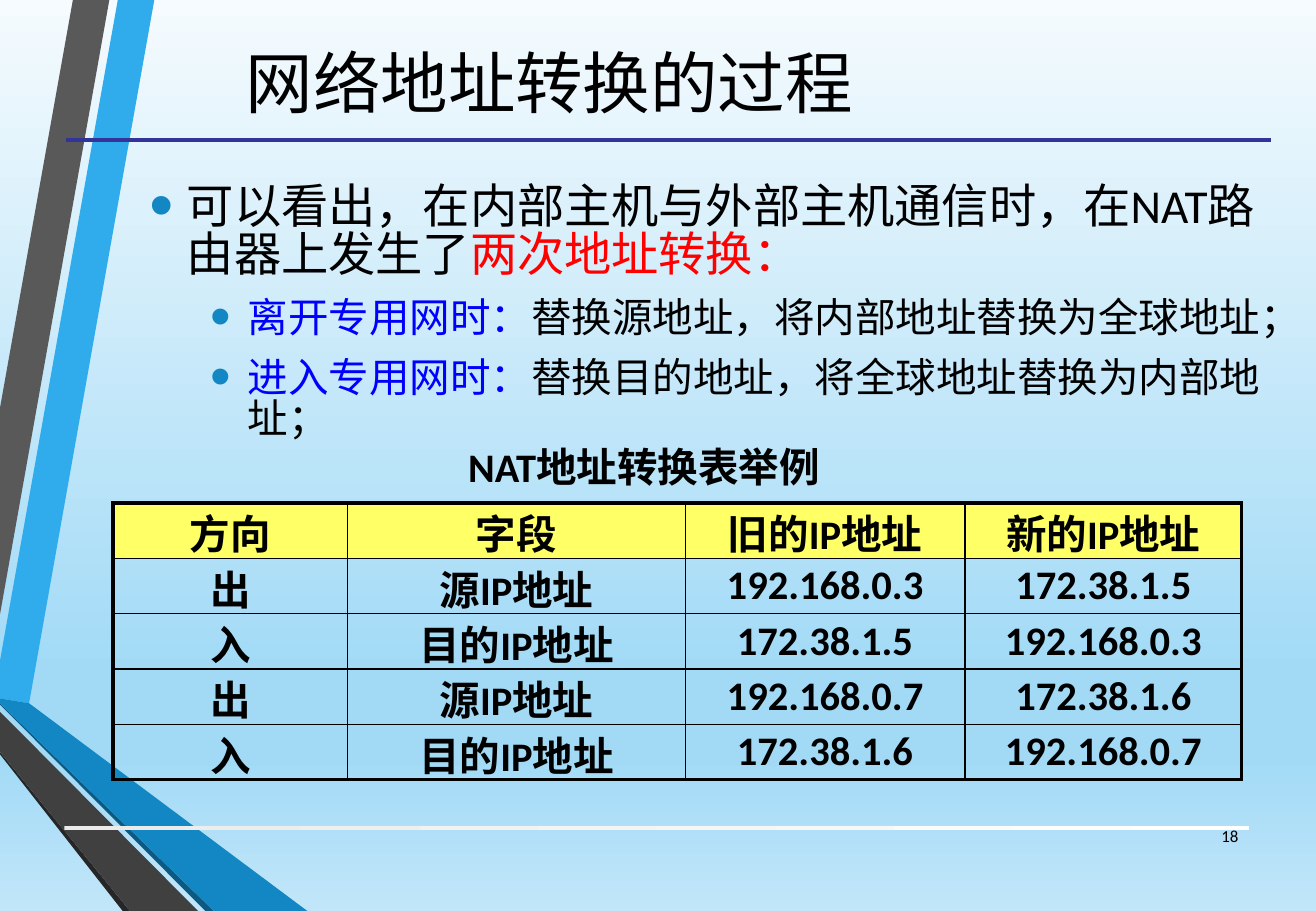
import pptx
import pptx.util
import pptx.dml.color
import pptx.enum.lang
import pptx.enum.shapes
import pptx.enum.text
import pptx.oxml
import pptx.oxml.ns
from lxml import etree

Inches = pptx.util.Inches
Pt = pptx.util.Pt
ALIGN = pptx.enum.text.PP_ALIGN
MIDDLE = pptx.enum.text.MSO_ANCHOR.MIDDLE
FONT = "Calibri"
BLACK, RED, BLUE = "000000", "FF0000", "0000FF"

RIBBONS = [
    ("30ACEC", [(0, 5.44), (0, 5.75), (0.24, 5.79), (1.27, 0), (0.97, 0)]),
    ("595959", [(0.9, 0), (0.6, 0), (0, 3.36), (0, 5.06)]),
    ("262626", [(0, 6.19), (0, 6.21), (1.01, 7.5), (1.07, 7.5)]),
    ("0C5A82", [(0, 5.79), (0, 5.8), (1.69, 7.5), (1.76, 7.5)]),
    ("1287C3", [(0, 5.79), (1.76, 7.5), (2.53, 7.5), (0.24, 5.79), (0, 5.75)]),
    ("404040", [(0, 6.19), (1.07, 7.5), (1.63, 7.5), (0, 5.86)]),
]
SKY = [(0, "F5FBFE"), (74, "A2DAF6"), (83, "A2DAF6"), (100, "C1E6F9")]
POINTS = [
    (0, 28, [("可以看出，在内部主机与外部主机通信时，在NAT路由器上发生了", BLACK),
             ("两次地址转换：", RED)]),
    (1, 24, [("离开专用网时：", BLUE),
             ("替换源地址，将内部地址替换为全球地址；", BLACK)]),
    (1, 24, [("进入专用网时：", BLUE),
             ("替换目的地址，将全球地址替换为内部地址；", BLACK)]),
]
NAT_ROWS = [
    ("方向", "字段", "旧的IP地址", "新的IP地址"),
    ("出", "源IP地址", "192.168.0.3", "172.38.1.5"),
    ("入", "目的IP地址", "172.38.1.5", "192.168.0.3"),
    ("出", "源IP地址", "192.168.0.7", "172.38.1.6"),
    ("入", "目的IP地址", "172.38.1.6", "192.168.0.7"),
]


def colour(value):
    """Turn a hex string into a colour."""
    return pptx.dml.color.RGBColor.from_string(value)


def add_element(parent, tag, **attributes):
    """Append a child element with the given attributes."""
    child = etree.SubElement(parent, pptx.oxml.ns.qn(tag))
    for name, value in attributes.items():
        child.set(name, str(value))
    return child


def set_gradient(fill, element, stops, angle):
    """Give a fill inside an element its gradient stops and angle."""
    fill.gradient()
    fill.gradient_angle = angle
    stop_list = next(element.iter(pptx.oxml.ns.qn("a:gsLst")))
    for old_stop in list(stop_list):
        stop_list.remove(old_stop)
    for position, value in stops:
        stop = add_element(stop_list, "a:gs", pos=position * 1000)
        add_element(stop, "a:srgbClr", val=value)


def add_span(para, text, size, value=BLACK, bold=False):
    """Add one formatted run to a paragraph."""
    span = para.add_run()
    span.text = text
    span.font.name = FONT
    span.font.size = Pt(size)
    span.font.bold = bold
    span.font.color.rgb = colour(value)
    span.font.language_id = pptx.enum.lang.MSO_LANGUAGE_ID.SIMPLIFIED_CHINESE


def add_ribbon(page, value, points):
    """Draw one filled outline of the corner decoration."""
    corners = [(Inches(x), Inches(y)) for x, y in points]
    builder = page.shapes.build_freeform(*corners[0])
    builder.add_line_segments(corners[1:], close=True)
    ribbon = builder.convert_to_shape()
    ribbon.fill.solid()
    ribbon.fill.fore_color.rgb = colour(value)
    ribbon.line.fill.background()
    ribbon.shadow.inherit = False


def add_footer_bar(page):
    """Draw the pale bar above the page number."""
    bar = page.shapes.add_shape(pptx.enum.shapes.MSO_SHAPE.RECTANGLE,
                                Inches(0.53), Inches(6.8), Inches(9.75), Inches(0.03))
    set_gradient(bar.fill, bar._element, [(0, "EBEBEB"), (100, "FFFFFF")], 0)
    bar.line.fill.background()
    bar.shadow.inherit = False


def add_title_rule(page):
    """Draw the line under the title."""
    rule = page.shapes.add_connector(pptx.enum.shapes.MSO_CONNECTOR.STRAIGHT,
                                     Inches(0.54), Inches(1.15), Inches(10.46), Inches(1.15))
    rule.line.color.rgb = colour("333399")
    rule.line.width = Pt(2.25)
    add_element(rule._element.spPr, "a:effectLst")


def fill_title(page, text):
    """Place and format the title."""
    title = page.shapes.title
    title.left, title.top = Inches(0.43), Inches(0.05)
    title.width, title.height = Inches(8.18), Inches(1.24)
    title.text_frame.vertical_anchor = MIDDLE
    para = title.text_frame.paragraphs[0]
    para.alignment = ALIGN.CENTER
    add_span(para, text, 40)


def add_box(page, left, top, width, height):
    """Add a wrapping text box and return its text frame."""
    box = page.shapes.add_textbox(Inches(left), Inches(top), Inches(width), Inches(height))
    box.text_frame.word_wrap = True
    return box.text_frame


def add_label(page, place, text, size, alignment, bold=False):
    """Add a text box with a single line."""
    frame = add_box(page, *place)
    frame.vertical_anchor = MIDDLE
    para = frame.paragraphs[0]
    para.alignment = alignment
    add_span(para, text, size, bold=bold)


def add_points(page):
    """Add the bulleted text."""
    frame = add_box(page, 1.13, 0.76, 9.41, 3.64)
    frame.vertical_anchor = MIDDLE
    for index, (level, size, spans) in enumerate(POINTS):
        para = frame.add_paragraph() if index else frame.paragraphs[0]
        para.level = level
        para.line_spacing = 0.85
        para.space_before = Pt(size * 0.2)
        para.space_after = Pt(6)
        properties = para._p.get_or_add_pPr()
        properties.set("marL", str(Inches(0.31 + 0.5 * level)))
        properties.set("indent", str(Inches(-0.31)))
        add_element(add_element(properties, "a:buClr"), "a:srgbClr", val="1287C3")
        add_element(properties, "a:buSzPct", val=145000)
        add_element(properties, "a:buFont", typeface="Arial")
        add_element(properties, "a:buChar", char="•")
        for text, value in spans:
            add_span(para, text, size, value)


def set_borders(cell, outer_sides):
    """Draw the cell borders, thicker on the outer sides."""
    properties = cell._tc.get_or_add_tcPr()
    for side in "LRTB":
        width = Pt(2.25 if side in outer_sides else 1)
        line = add_element(properties, "a:ln" + side, w=width)
        add_element(add_element(line, "a:solidFill"), "a:srgbClr", val=BLACK)


def add_nat_table(page):
    """Add the address translation table."""
    widths = [1.93, 2.78, 2.3, 2.28]
    last_row, last_column = len(NAT_ROWS) - 1, len(widths) - 1
    table = page.shapes.add_table(len(NAT_ROWS), len(widths), Inches(0.93), Inches(4.14),
                                  Inches(sum(widths)), Inches(2.28)).table
    table.first_row = table.horz_banding = False
    for column, width in zip(table.columns, widths):
        column.width = Inches(width)
    for row, texts in enumerate(NAT_ROWS):
        for column, text in enumerate(texts):
            cell = table.cell(row, column)
            edges = {"L": column == 0, "R": column == last_column,
                     "T": row == 0, "B": row == last_row}
            set_borders(cell, [side for side, outer in edges.items() if outer])
            if row == 0:
                cell.fill.solid()
                cell.fill.fore_color.rgb = colour("FFFF66")
            else:
                cell.fill.background()
            cell.vertical_anchor = MIDDLE
            cell.margin_left = cell.margin_right = Inches(0.07)
            cell.margin_top = cell.margin_bottom = 0
            para = cell.text_frame.paragraphs[0]
            para.alignment = ALIGN.CENTER
            add_span(para, text, 24, bold=True)


def main():
    """Build the slide and save it."""
    deck = pptx.Presentation()
    deck.slide_width, deck.slide_height = Inches(10.83), Inches(7.5)
    page = deck.slides.add_slide(deck.slide_layouts[5])
    set_gradient(page.background.fill, page._element, SKY, 270)
    for value, points in RIBBONS:
        add_ribbon(page, value, points)
    add_footer_bar(page)
    add_title_rule(page)
    fill_title(page, "网络地址转换的过程")
    add_points(page)
    add_nat_table(page)
    add_label(page, (3.37, 3.59, 3.86, 0.5), "NAT地址转换表举例", 24, ALIGN.CENTER, bold=True)
    add_label(page, (9.78, 6.68, 0.51, 0.4), "18", 10, ALIGN.RIGHT)
    deck.save("out.pptx")


main()
